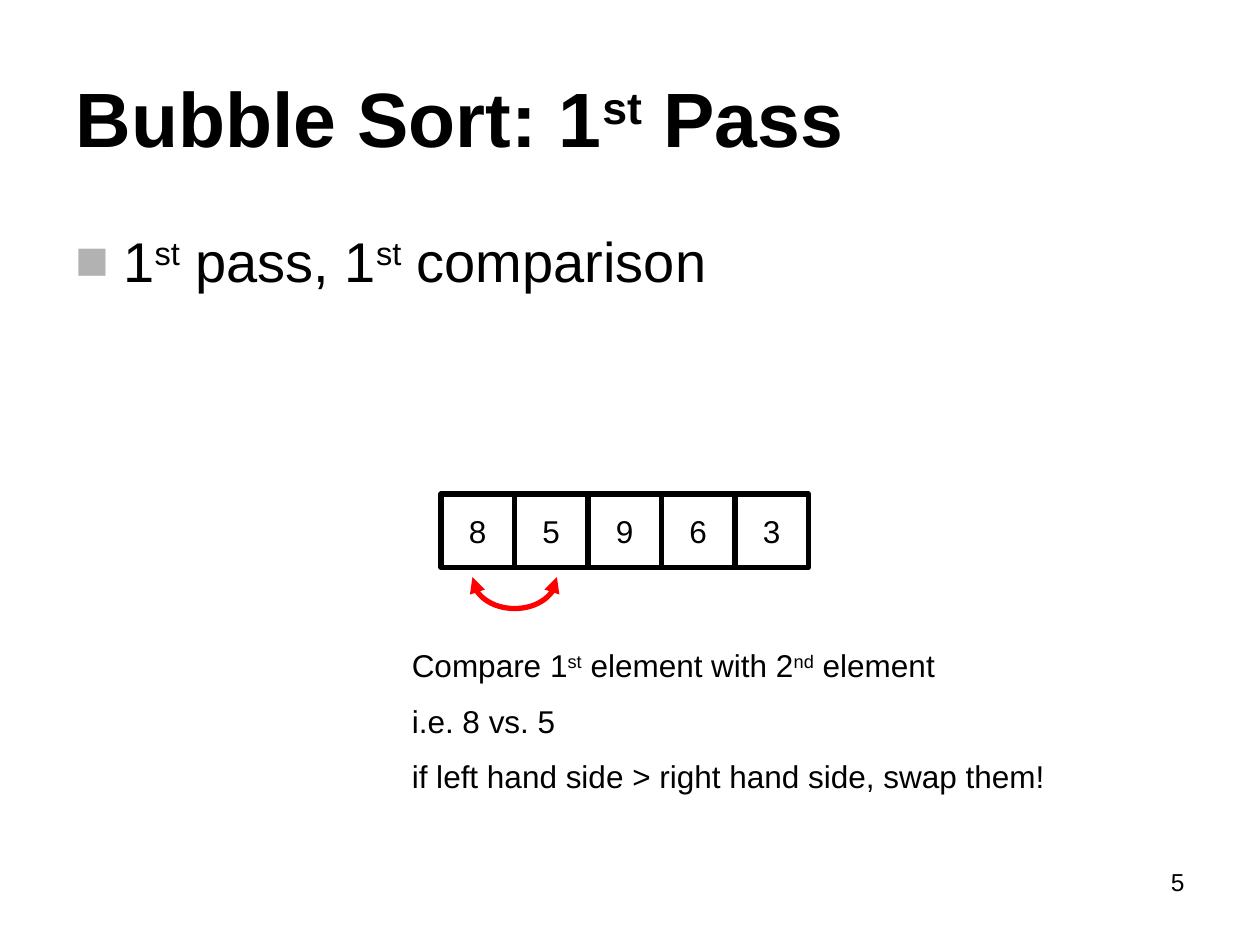
import math
from dataclasses import dataclass

from lxml import etree
from pptx import Presentation
from pptx.dml.color import RGBColor
from pptx.enum.shapes import MSO_SHAPE
from pptx.enum.text import MSO_ANCHOR, MSO_AUTO_SIZE, PP_ALIGN
from pptx.oxml.ns import qn
from pptx.util import Inches, Pt

RECTANGLE = MSO_SHAPE.RECTANGLE
MIDDLE, TOP = MSO_ANCHOR.MIDDLE, MSO_ANCHOR.TOP
LEFT, CENTER, RIGHT = PP_ALIGN.LEFT, PP_ALIGN.CENTER, PP_ALIGN.RIGHT


@dataclass(frozen=True)
class Theme:
    font: str = "Arial"
    ink: RGBColor = RGBColor(0x00, 0x00, 0x00)
    paper: RGBColor = RGBColor(0xFF, 0xFF, 0xFF)
    accent: RGBColor = RGBColor(0xFF, 0x00, 0x00)
    bullet: RGBColor = RGBColor(0xB2, 0xB2, 0xB2)
    title: Pt = Pt(44)
    body: Pt = Pt(32)
    label: Pt = Pt(18)
    footer: Pt = Pt(14)
    stroke: Pt = Pt(3)


@dataclass(frozen=True)
class Area:
    left: float
    top: float
    width: float
    height: float

    def lengths(self) -> tuple:
        return tuple(map(Inches, (self.left, self.top, self.width, self.height)))


THEME = Theme()
VALUES = (8, 5, 9, 6, 3)
CELL = 7 / 12
ROW_LEFT, ROW_TOP = 3.5, 3.92
SWAP = Area(3.75, 4.58, 0.67, 0.25)
NOTES = (
    "Compare 1^st^ element with 2^nd^ element",
    "i.e. 8 vs. 5",
    "if left hand side > right hand side, swap them!",
)


def write(para, text: str, size: Pt, align=LEFT, bold: bool = False) -> None:
    """Fill a paragraph; text between carets is raised."""
    for index, part in enumerate(text.split("^")):
        span = para.add_run()
        span.text = part
        if index % 2:
            span.font._element.set("baseline", "30000")
    para.alignment = align
    para.font.name = THEME.font
    para.font.size = size
    para.font.bold = bold
    para.font.color.rgb = THEME.ink


def place(box, area: Area, anchor) -> None:
    box.left, box.top, box.width, box.height = area.lengths()
    box.text_frame.auto_size = MSO_AUTO_SIZE.NONE
    box.text_frame.word_wrap = True
    box.text_frame.vertical_anchor = anchor


def add_bullet(para) -> None:
    properties = para._p.get_or_add_pPr()
    properties.set("marL", str(Inches(0.38)))
    properties.set("indent", str(-Inches(0.38)))
    color = etree.SubElement(properties, qn("a:buClr"))
    etree.SubElement(color, qn("a:srgbClr"), val=str(THEME.bullet))
    etree.SubElement(properties, qn("a:buFont"), typeface=THEME.font)
    etree.SubElement(properties, qn("a:buChar"), char="■")


def add_text(page, area: Area, lines: tuple, size: Pt, align=LEFT) -> None:
    box = page.shapes.add_textbox(*area.lengths())
    box.text_frame.word_wrap = True
    for index, line in enumerate(lines):
        para = box.text_frame.add_paragraph() if index else box.text_frame.paragraphs[0]
        if index:
            para.space_before = Pt(10)
        write(para, line, size, align)


def add_cell(page, index: int, value: int) -> None:
    area = Area(ROW_LEFT + index * CELL, ROW_TOP, CELL, CELL)
    cell = page.shapes.add_shape(RECTANGLE, *area.lengths())
    cell.shadow.inherit = False
    cell.fill.solid()
    cell.fill.fore_color.rgb = THEME.paper
    cell.line.color.rgb = THEME.ink
    cell.line.width = THEME.stroke
    cell.text_frame.word_wrap = False
    cell.text_frame.vertical_anchor = MIDDLE
    write(cell.text_frame.paragraphs[0], str(value), THEME.label, CENTER)


def add_swap_arrow(page, area: Area, steps: int = 32) -> None:
    """Draw the lower half of an ellipse with an arrowhead at both ends."""
    radius = area.width / 2
    points = [
        (
            Inches(area.left + radius * (1 - math.cos(math.pi * step / steps))),
            Inches(area.top + area.height * math.sin(math.pi * step / steps)),
        )
        for step in range(steps + 1)
    ]
    builder = page.shapes.build_freeform(*points[0])
    builder.add_line_segments(points[1:], close=False)
    curve = builder.convert_to_shape()
    curve.shadow.inherit = False
    curve.fill.background()
    curve.line.color.rgb = THEME.accent
    curve.line.width = THEME.stroke
    outline = curve.line._get_or_add_ln()
    for end in ("a:headEnd", "a:tailEnd"):
        etree.SubElement(outline, qn(end), type="triangle")


def main() -> None:
    deck = Presentation()
    deck.slide_width, deck.slide_height = Inches(10), Inches(7.5)
    page = deck.slides.add_slide(deck.slide_layouts[1])

    title = page.shapes.title
    place(title, Area(0.5, 0.3, 9, 1.25), MIDDLE)
    write(title.text_frame.paragraphs[0], "Bubble Sort: 1^st^ Pass", THEME.title, bold=True)

    body = page.placeholders[1]
    place(body, Area(0.5, 1.75, 9, 4.95), TOP)
    heading = body.text_frame.paragraphs[0]
    heading.space_before = Pt(0)
    add_bullet(heading)
    write(heading, "1^st^ pass, 1^st^ comparison", THEME.body)

    for index, value in enumerate(VALUES):
        add_cell(page, index, value)
    add_swap_arrow(page, SWAP)
    add_text(page, Area(3.17, 5.08, 5.33, 1.3), NOTES, THEME.label)
    add_text(page, Area(7.17, 6.83, 2.33, 0.52), ("5",), THEME.footer, RIGHT)

    deck.save("out.pptx")


if __name__ == "__main__":
    main()
